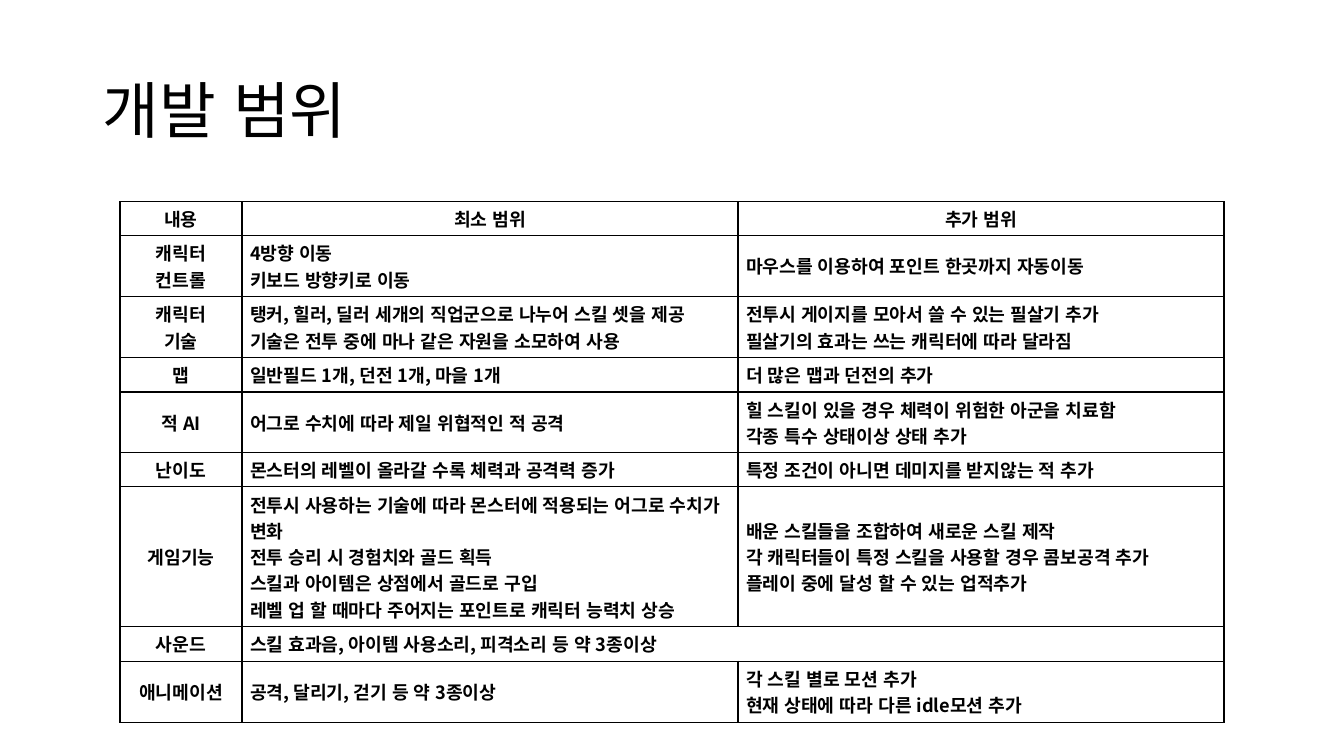
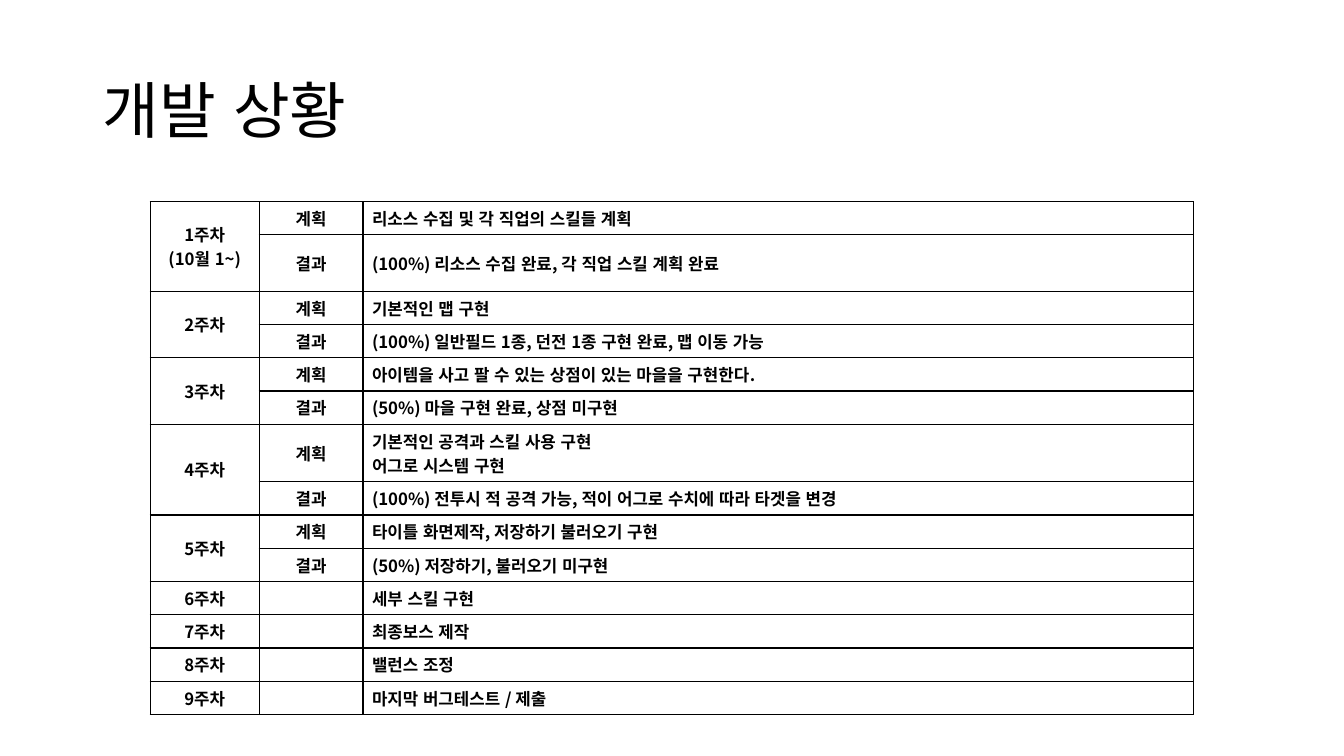
"""Build two slides: the scope and the progress of a game project."""
from dataclasses import dataclass

import lxml.etree
import pptx
import pptx.dml.color
import pptx.enum.lang
import pptx.enum.text
import pptx.oxml.ns
import pptx.util

Inches = pptx.util.Inches
Pt = pptx.util.Pt
qn = pptx.oxml.ns.qn
add = lxml.etree.SubElement
ALIGN = pptx.enum.text.PP_ALIGN
MIDDLE = pptx.enum.text.MSO_ANCHOR.MIDDLE


@dataclass
class Theme:
    font: str = "Noto Sans CJK KR"
    ink: str = "000000"
    title: int = 44
    rule: float = 1


theme = Theme()


def write(frame, text, size, bold=False, align=ALIGN.LEFT):
    """Fill a text frame, one paragraph a line."""
    for i, line in enumerate(text.split("\n")):
        par = frame.paragraphs[0] if i == 0 else frame.add_paragraph()
        par.alignment = align
        if line:
            run = par.add_run()
            run.text = line
            run.font.size = Pt(size)
            run.font.bold = bold
            run.font.name = theme.font
            run.font.language_id = pptx.enum.lang.MSO_LANGUAGE_ID.KOREAN
            run.font.color.rgb = pptx.dml.color.RGBColor.from_string(theme.ink)
            add(run.font._element, qn("a:ea"), typeface=theme.font)
        else:
            add(par._p, qn("a:endParaRPr"), sz=str(size * 100))


def style(cell, pad):
    """Set the padding, rules and fill of a cell."""
    cell.margin_left = cell.margin_right = Inches(pad)
    cell.margin_top = cell.margin_bottom = Inches(0.04)
    cell.vertical_anchor = MIDDLE
    props = cell._tc.get_or_add_tcPr()
    for side in "LRTB":
        line = add(props, qn("a:ln" + side), w=str(Pt(theme.rule)))
        add(add(line, qn("a:solidFill")), qn("a:srgbClr"), val=theme.ink)
    cell.fill.background()


scope = [
    ("내용", "최소 범위", "추가 범위"),
    ("캐릭터\n컨트롤", "4방향 이동\n키보드 방향키로 이동",
     "마우스를 이용하여 포인트 한곳까지 자동이동"),
    ("캐릭터\n기술",
     "탱커, 힐러, 딜러 세개의 직업군으로 나누어 스킬 셋을 제공\n"
     "기술은 전투 중에 마나 같은 자원을 소모하여 사용",
     "전투시 게이지를 모아서 쓸 수 있는 필살기 추가\n"
     "필살기의 효과는 쓰는 캐릭터에 따라 달라짐"),
    ("맵", "일반필드 1개, 던전 1개, 마을 1개", "더 많은 맵과 던전의 추가"),
    ("적 AI", "어그로 수치에 따라 제일 위협적인 적 공격",
     "힐 스킬이 있을 경우 체력이 위험한 아군을 치료함\n"
     "각종 특수 상태이상 상태 추가"),
    ("난이도", "몬스터의 레벨이 올라갈 수록 체력과 공격력 증가",
     "특정 조건이 아니면 데미지를 받지않는 적 추가"),
    ("게임기능",
     "전투시 사용하는 기술에 따라 몬스터에 적용되는 어그로 수치가 변화\n"
     "전투 승리 시 경험치와 골드 획득\n"
     "스킬과 아이템은 상점에서 골드로 구입\n"
     "레벨 업 할 때마다 주어지는 포인트로 캐릭터 능력치 상승",
     "배운 스킬들을 조합하여 새로운 스킬 제작\n"
     "각 캐릭터들이 특정 스킬을 사용할 경우 콤보공격 추가\n"
     "플레이 중에 달성 할 수 있는 업적추가"),
    ("사운드", "스킬 효과음, 아이템 사용소리, 피격소리 등 약 3종이상", None),
    ("애니메이션", "공격, 달리기, 걷기 등 약 3종이상",
     "각 스킬 별로 모션 추가\n현재 상태에 따라 다른 idle모션 추가"),
]

weeks = [
    ("리소스 수집 및 각 직업의 스킬들 계획",
     "(100%) 리소스 수집 완료, 각 직업 스킬 계획 완료"),
    ("기본적인 맵 구현",
     "(100%) 일반필드 1종, 던전 1종 구현 완료, 맵 이동 가능"),
    ("아이템을 사고 팔 수 있는 상점이 있는 마을을 구현한다.",
     "(50%) 마을 구현 완료, 상점 미구현"),
    ("기본적인 공격과 스킬 사용 구현\n어그로 시스템 구현",
     "(100%) 전투시 적 공격 가능, 적이 어그로 수치에 따라 타겟을 변경"),
    ("타이틀 화면제작, 저장하기 불러오기 구현",
     "(50%) 저장하기, 불러오기 미구현"),
    ("세부 스킬 구현",),
    ("최종보스 제작",),
    ("밸런스 조정",),
    ("마지막 버그테스트 / 제출",),
]
status = []
for n, work in enumerate(weeks, 1):
    name = f"{n}주차" + ("\n(10월 1~)" if n == 1 else "")
    if len(work) == 2:
        status += [(name, "계획", work[0]), (None, "결과", work[1])]
    else:
        status.append((name, "", work[0]))

pages = [
    dict(title="개발 범위", rows=scope, left=1.19, cols=(1.21, 4.92, 4.82),
         high=0.34, tall={1: 0.6, 2: 0.61, 4: 0.6, 6: 1.39, 8: 0.61},
         size=13, pad=0.08, mid=1, head=1),
    dict(title="개발 상황", rows=status, left=1.49, cols=(1.08, 1.03, 8.24),
         high=0.33, tall={1: 0.56, 6: 0.57},
         size=12, pad=0.09, mid=2, head=0),
]

deck = pptx.Presentation()
deck.slide_width = Inches(13.33)
deck.slide_height = Inches(7.5)

for page in pages:
    slide = deck.slides.add_slide(deck.slide_layouts[6])
    box = slide.shapes.add_textbox(
        Inches(0.92), Inches(0.4), Inches(11.5), Inches(1.45))
    frame = box.text_frame
    frame.word_wrap = True
    frame.vertical_anchor = MIDDLE
    write(frame, page["title"], theme.title)
    frame.paragraphs[0].line_spacing = 0.9

    rows, cols = page["rows"], page["cols"]
    highs = [page["tall"].get(r, page["high"]) for r in range(len(rows))]
    grid = slide.shapes.add_table(
        len(rows), len(cols), Inches(page["left"]), Inches(2),
        Inches(sum(cols)), Inches(sum(highs))).table
    grid.first_row = grid.horz_banding = False
    for c, wide in enumerate(cols):
        grid.columns[c].width = Inches(wide)
    for r, row in enumerate(rows):
        grid.rows[r].height = Inches(highs[r])
        for c, text in enumerate(row):
            cell = grid.cell(r, c)
            style(cell, page["pad"])
            centre = c < page["mid"] or r < page["head"]
            write(cell.text_frame, text or "", page["size"], True,
                  ALIGN.CENTER if centre else ALIGN.LEFT)
            if text is None:
                start = grid.cell(r, c - 1) if c else grid.cell(r - 1, c)
                start.merge(cell)

deck.save("out.pptx")
